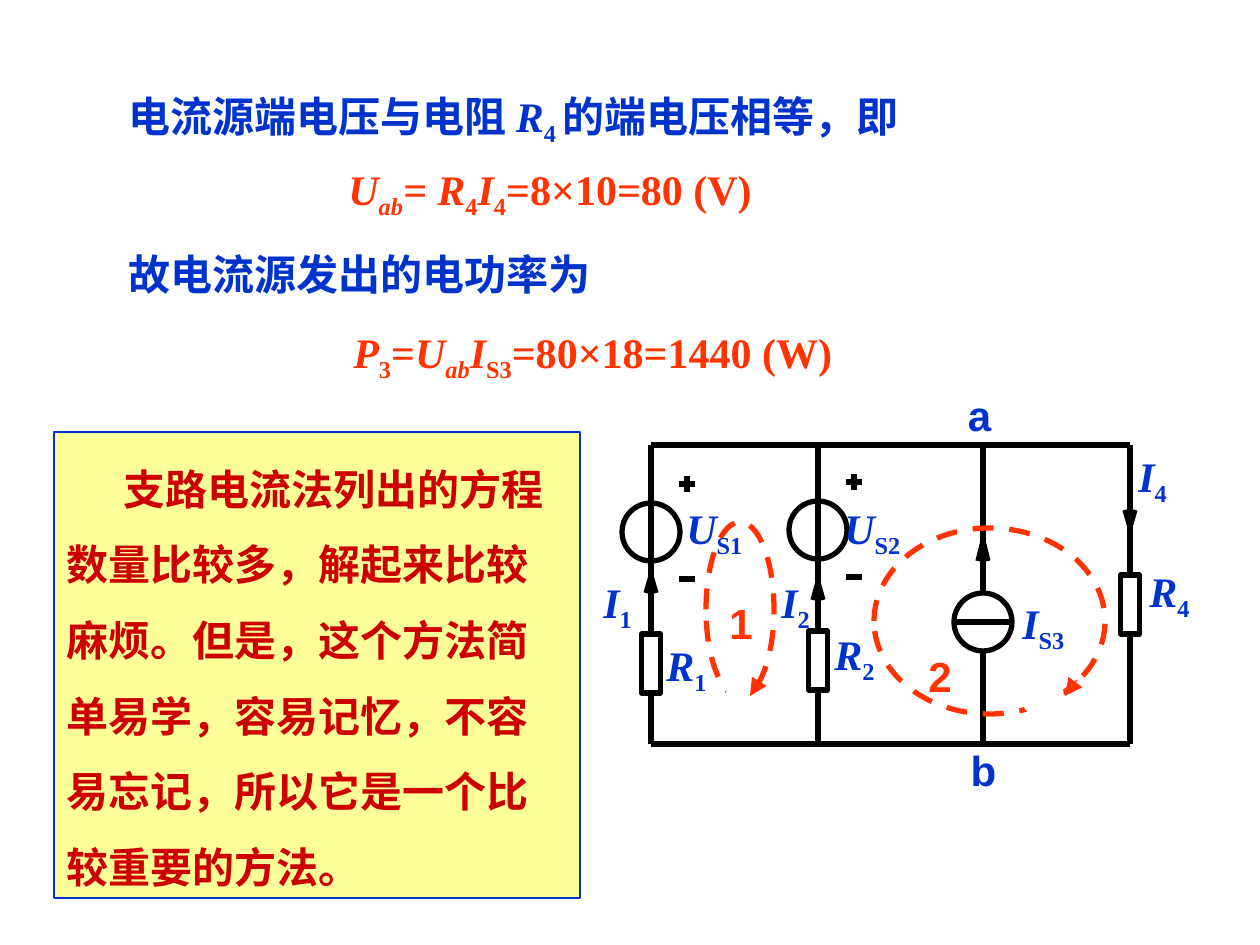
import pptx
import pptx.dml.color
import pptx.enum.dml
import pptx.enum.shapes
import pptx.enum.text
import pptx.oxml
import pptx.oxml.ns
import pptx.util

RGBColor = pptx.dml.color.RGBColor
BLUE = RGBColor(0x00, 0x33, 0xCC)
ORANGE = RGBColor(0xFF, 0x33, 0x00)
RED = RGBColor(0xCC, 0x00, 0x00)
YELLOW = RGBColor(0xFF, 0xFF, 0x99)
WHITE = RGBColor(0xFF, 0xFF, 0xFF)
BLACK = RGBColor(0x00, 0x00, 0x00)

SERIF, SANS = "Times New Roman", "Arial"
ITALIC, SUB, PLAIN, ITALIC_SUB = "i", "s", "", "is"
SHAPES = pptx.enum.shapes.MSO_SHAPE
CIRCLE, RESISTOR_WIDTH, RESISTOR_HEIGHT = 58, 19, 59


def px(length):
    return pptx.util.Emu(round(length * 914400 / 126))


def element(xml):
    return pptx.oxml.parse_xml(xml % pptx.oxml.ns.nsdecls("a"))


class CircuitSlide:
    """Draws the parts of one slide in a common style."""

    def __init__(self, slide, size=24, wire_width=3):
        self.slide = slide
        self.size = size
        self.wire_width = wire_width

    def fill_text(self, box, runs, font, color):
        """Fill a box with one bold paragraph of (text, style) runs."""
        frame = box.text_frame
        frame.word_wrap = True
        frame.auto_size = pptx.enum.text.MSO_AUTO_SIZE.SHAPE_TO_FIT_TEXT
        frame.vertical_anchor = pptx.enum.text.MSO_ANCHOR.TOP
        line = frame.paragraphs[0]
        line.alignment = pptx.enum.text.PP_ALIGN.LEFT
        line.font.name = font
        line.font.size = pptx.util.Pt(self.size)
        line.font.bold = True
        line.font.color.rgb = color
        for words, style in runs:
            run = line.add_run()
            run.text = words
            if ITALIC in style:
                run.font.italic = True
            if SUB in style:
                run._r.get_or_add_rPr().set("baseline", "-25000")
        return line

    def text(self, x, y, width, height, runs, font=SERIF, color=BLUE):
        box = self.slide.shapes.add_textbox(px(x), px(y), px(width), px(height))
        return self.fill_text(box, runs, font, color)

    def symbol(self, x, y, width, letter, index):
        self.text(x, y, width, 71, [(letter, ITALIC), (index, SUB)])

    def shape(self, kind, x, y, width, height, fill=None, line=None, weight=3):
        shape = self.slide.shapes.add_shape(
            kind, px(x), px(y), px(width), px(height))
        shape.shadow.inherit = False
        if fill is None:
            shape.fill.background()
        else:
            shape.fill.solid()
            shape.fill.fore_color.rgb = fill
        if line is None:
            shape.line.fill.background()
        else:
            shape.line.color.rgb = line
            shape.line.width = pptx.util.Pt(weight)
        return shape

    def line(self, x1, y1, x2, y2, color=BLACK, weight=None):
        wire = self.slide.shapes.add_connector(
            pptx.enum.shapes.MSO_CONNECTOR.STRAIGHT,
            px(x1), px(y1), px(x2), px(y2))
        wire.line.color.rgb = color
        wire.line.width = pptx.util.Pt(weight or self.wire_width)
        wire._element.spPr.append(element("<a:effectLst %s/>"))
        return wire

    def voltage_source(self, x, y):
        """Circle centred on x, with plus and minus signs at its right."""
        self.shape(SHAPES.OVAL, x - CIRCLE / 2, y, CIRCLE, CIRCLE, WHITE, BLACK)
        sign = x + 36
        for level in (y - 19, y + 76):
            self.line(sign - 8, level, sign + 8, level)
        self.line(sign, y - 27, sign, y - 11)

    def current_source(self, x, y):
        left = x - CIRCLE / 2
        self.shape(SHAPES.OVAL, left, y, CIRCLE, CIRCLE, WHITE, BLACK)
        self.line(left, y + CIRCLE / 2, left + CIRCLE, y + CIRCLE / 2)

    def resistor(self, x, y):
        self.shape(SHAPES.RECTANGLE, x - RESISTOR_WIDTH / 2, y,
                   RESISTOR_WIDTH, RESISTOR_HEIGHT, WHITE, BLACK)

    def current_arrow(self, x, tip, barb):
        """Arrow of three strokes; a negative barb points it down."""
        for dx, dy in ((-5, barb), (5, barb), (0, 2 * barb)):
            self.line(x, tip, x + dx, tip + dy)

    def loop(self, x, y, width, height, gap, arrow):
        """Dashed loop with a gap (x, y, size) and an arrow at its end."""
        ring = self.shape(SHAPES.OVAL, x, y, width, height, line=ORANGE)
        ring.line.dash_style = pptx.enum.dml.MSO_LINE.DASH
        gap_x, gap_y, gap_size = gap
        self.shape(SHAPES.OVAL, gap_x, gap_y, gap_size, gap_size, WHITE)
        head = self.line(*arrow, color=ORANGE, weight=0.75)
        head.line._get_or_add_ln().append(
            element('<a:tailEnd %s type="triangle" w="lg" len="lg"/>'))


def main():
    deck = pptx.Presentation()
    deck.slide_width, deck.slide_height = px(1260), px(945)
    page = CircuitSlide(deck.slides.add_slide(deck.slide_layouts[6]))

    # Derivation
    page.text(116, 84, 851, 71, [("电流源端电压与电阻 ", PLAIN), ("R", ITALIC),
                                 ("4 ", SUB), ("的端电压相等，即", PLAIN)])
    page.text(116, 242, 557, 63, [("故电流源发出的电功率为", PLAIN)], SANS)
    page.text(341, 320, 557, 121, [
        ("P", ITALIC), ("3", SUB), ("=", PLAIN), ("U", ITALIC),
        ("ab", ITALIC_SUB), ("I", ITALIC), ("S3", SUB),
        ("=80×18=1440 (W)", PLAIN)], color=ORANGE)
    page.text(336, 157, 620, 71, [
        ("U", ITALIC), ("ab", ITALIC_SUB), ("= R", ITALIC), ("4", SUB),
        ("I", ITALIC), ("4", SUB), ("=8×10=80 (V)", PLAIN)], color=ORANGE)

    # Remark on the method
    remark = page.shape(SHAPES.RECTANGLE, 54, 432, 526, 466, YELLOW, BLUE, 0.75)
    comment = page.fill_text(remark, [(
        "支路电流法列出的方程数量比较多，解起来比较麻烦。但是，这个方法简单易学，"
        "容易记忆，不容易忘记，所以它是一个比较重要的方法。", PLAIN)], SANS, RED)
    comment.line_spacing = 1.5
    comment._p.get_or_add_pPr().set("indent", str(px(57)))

    # Circuit: four branches between two rails
    top, bottom = 445, 744
    branch1, branch2, branch3, branch4 = 651, 818, 983, 1130
    page.voltage_source(branch1, 503)
    page.voltage_source(branch2, 501)
    for branch in (branch1, branch2, branch3, branch4):
        page.line(branch, top, branch, bottom)
    for rail in (top, bottom):
        page.line(branch1, rail, branch4, rail)
    page.current_source(branch3, 593)
    for branch, level in ((branch1, 634), (branch2, 631), (branch4, 575)):
        page.resistor(branch, level)
    for branch, tip, barb in ((branch1, 576, 17), (branch2, 582, 18),
                              (branch3, 541, 20), (branch4, 527, -17)):
        page.current_arrow(branch, tip, barb)

    # Loops
    page.loop(706, 522, 68, 175, (726, 679, 30), (764, 674, 750, 696))
    page.loop(874, 528, 231, 186, (1021, 675, 43), (1077, 680, 1065, 696))

    # Names of the quantities
    for x, y, width, letter, index in (
            (674, 496, 116, "U", "S1"), (832, 496, 126, "U", "S2"),
            (1010, 591, 95, "I", "S3"), (654, 633, 84, "R", "1"),
            (822, 622, 95, "R", "2"), (1137, 559, 95, "R", "4"),
            (769, 570, 73, "I", "2"), (591, 570, 73, "I", "1"),
            (1126, 444, 84, "I", "4")):
        page.symbol(x, y, width, letter, index)

    # Names of the loops and nodes
    for x, y, number in ((717, 591, "1"), (916, 644, "2")):
        page.text(x, y, 63, 63, [(number, PLAIN)], SANS, ORANGE)
    for x, y, node in ((950, 383, "a"), (954, 738, "b")):
        label = page.text(x, y, 59, 63, [(node, PLAIN)], SANS)
        label.alignment = pptx.enum.text.PP_ALIGN.CENTER

    deck.save("out.pptx")


if __name__ == "__main__":
    main()
